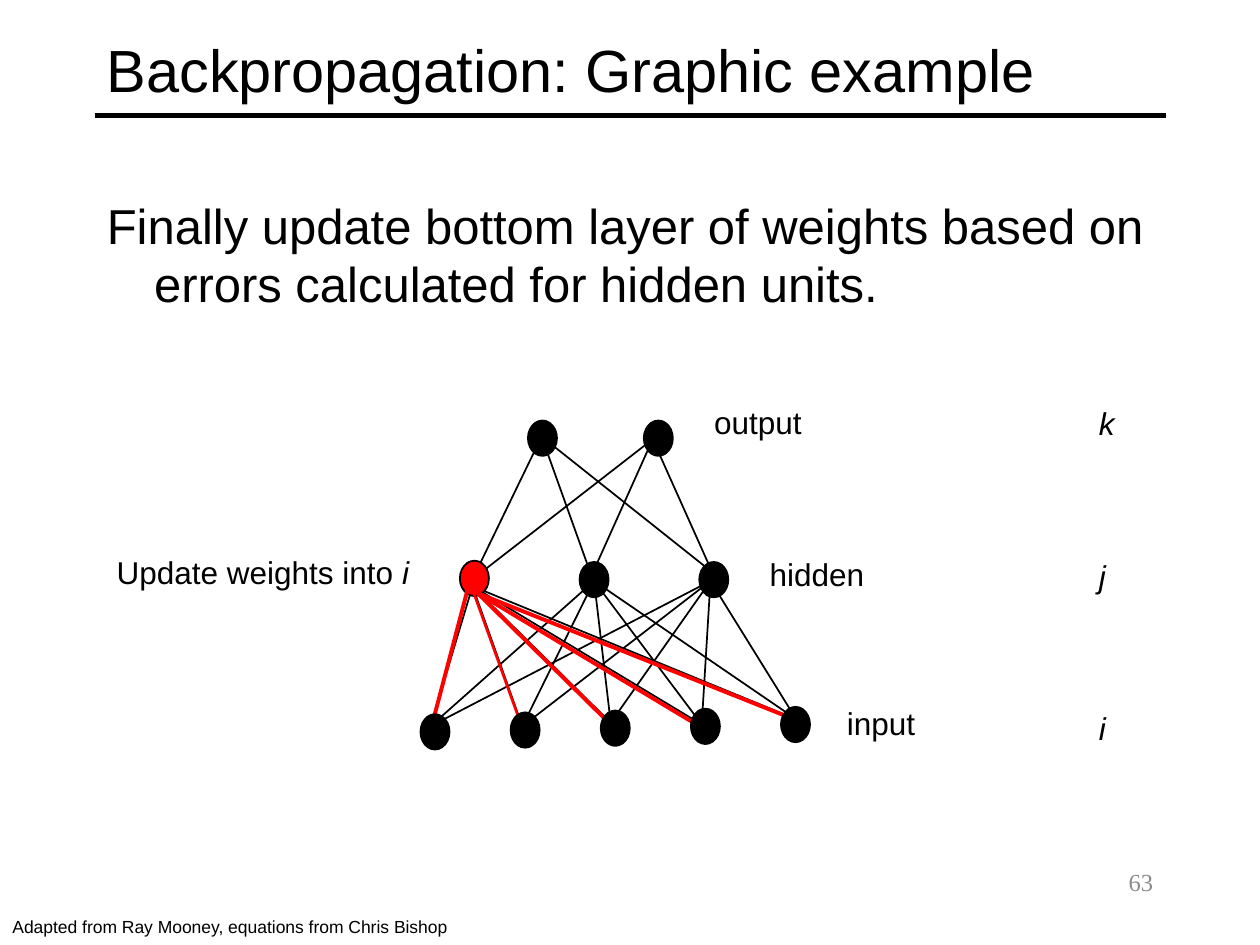
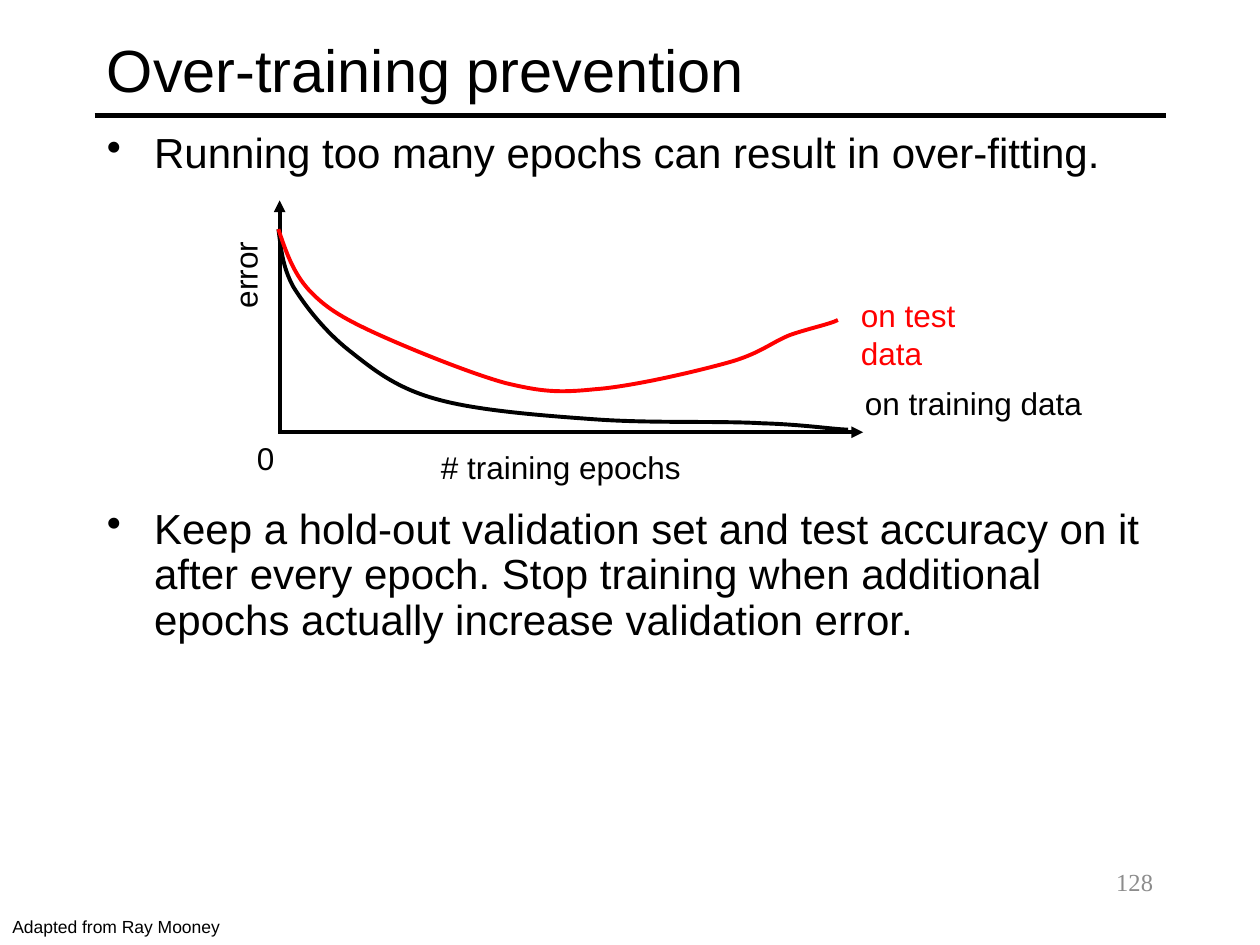
from itertools import product

from lxml import etree
from pptx import Presentation
from pptx.dml.color import RGBColor
from pptx.enum.shapes import MSO_CONNECTOR, MSO_SHAPE
from pptx.enum.text import MSO_ANCHOR, MSO_AUTO_SIZE, PP_ALIGN
from pptx.oxml.ns import qn
from pptx.util import Pt

BLACK = RGBColor(0x00, 0x00, 0x00)
RED = RGBColor(0xFF, 0x00, 0x00)
GRAY = RGBColor(0x8C, 0x8C, 0x8C)
SANS, SERIF = "Arial", "Times New Roman"
STRAIGHT = MSO_CONNECTOR.STRAIGHT
OVAL = MSO_SHAPE.OVAL
TOP, MIDDLE = MSO_ANCHOR.TOP, MSO_ANCHOR.MIDDLE
LEFT, RIGHT = PP_ALIGN.LEFT, PP_ALIGN.RIGHT
FIT_TEXT = MSO_AUTO_SIZE.SHAPE_TO_FIT_TEXT

MARGIN, CONTENT_WIDTH = 54, 612
HANGING = 27
NODE_WIDTH, NODE_HEIGHT = 16.6, 20.2

# Bézier chains: a start point, then three points per segment
TRAINING_CURVE = [
    (159.1, 131), (160.6, 141.8), (161.3, 152.6), (167.8, 164.2),
    (175, 175.7), (185.8, 189.4), (199.4, 200.2),
    (213.1, 211), (226.1, 221.8), (249.8, 228.2),
    (272.9, 234.7), (311, 237.6), (342, 239.8),
    (373, 241.9), (411.8, 240.5), (435.6, 241.9),
    (459.4, 242.6), (477.4, 245.5), (484.6, 245.5)]
TEST_CURVE = [
    (159.1, 131), (163.4, 144), (167.8, 156.2), (176.4, 165.6),
    (185.8, 175.7), (195.1, 181.4), (213.8, 190.1),
    (232.6, 198.7), (267.8, 213.1), (288.7, 218.9),
    (309.6, 223.9), (319, 224.6), (339.8, 222.5),
    (360.7, 221), (397.4, 212.4), (415.4, 207.4),
    (434.2, 202.3), (440.6, 195.8), (451.4, 191.5),
    (461.5, 187.9), (475.2, 185), (478.8, 182.9)]


class Deck:
    def __init__(self):
        self.prs = Presentation()
        self.prs.slide_width, self.prs.slide_height = Pt(720), Pt(540)
        self.slide = None

    def new_slide(self, title, credit, credit_width, number):
        """Start a slide with the shared title, rule and footers."""
        self.slide = self.prs.slides.add_slide(self.prs.slide_layouts[6])
        self.line((MARGIN, 66), (MARGIN + CONTENT_WIDTH, 66), 3)
        self.text(title, MARGIN, 6, CONTENT_WIDTH, 66, size=34, anchor=MIDDLE, wrap=True)
        self.text(credit, 0, 520, credit_width, 19.4, size=10)
        self.text(number, 516, 492, 150, 36, size=14, color=GRAY, font=SERIF,
                  align=RIGHT, wrap=True)

    def style_runs(self, paragraph, size, color=BLACK, font=SANS):
        for run in paragraph.runs:
            run.font.size, run.font.name = Pt(size), font
            run.font.color.rgb = color

    def text(self, text, x, y, width, height, size=18, color=BLACK, font=SANS,
             align=LEFT, anchor=TOP, wrap=False, italic_end=""):
        box = self.slide.shapes.add_textbox(Pt(x), Pt(y), Pt(width), Pt(height))
        frame = box.text_frame
        frame.text = text
        frame.word_wrap, frame.vertical_anchor = wrap, anchor
        if not wrap:
            frame.auto_size = FIT_TEXT
        paragraph = frame.paragraphs[0]
        paragraph.alignment = align
        if italic_end:
            ending = paragraph.add_run()
            ending.text, ending.font.italic = italic_end, True
        self.style_runs(paragraph, size, color, font)

        return box

    def index_letters(self, letters, x, y, width, height, gap):
        """A column of italic letters, with gap points between them."""
        column = self.text("\n".join(letters), x, y, width, height, wrap=True)
        for row, paragraph in enumerate(column.text_frame.paragraphs):
            if row:
                paragraph.space_before = Pt(gap)
            self.style_runs(paragraph, 18)
            paragraph.runs[0].font.italic = True

    def body(self, items, y, height, size, line_spacing, gap=0, bullet=None):
        """Hanging paragraphs, with gap points between them."""
        box = self.text("\n".join(items), MARGIN, y, CONTENT_WIDTH, height, wrap=True)
        for index, paragraph in enumerate(box.text_frame.paragraphs):
            properties = paragraph._p.get_or_add_pPr()
            properties.set("marL", str(Pt(HANGING)))
            properties.set("indent", str(-Pt(HANGING)))
            if bullet:
                etree.SubElement(properties, qn("a:buChar")).set("char", bullet)
            paragraph.line_spacing = line_spacing
            if index:
                paragraph.space_before = Pt(gap)
            self.style_runs(paragraph, size)

    def line(self, start, end, weight=1, color=BLACK, arrow=False):
        connector = self.slide.shapes.add_connector(STRAIGHT, *map(Pt, start + end))
        connector.line.width = Pt(weight)
        connector.line.color.rgb = color
        if arrow:
            etree.SubElement(connector.line._get_or_add_ln(), qn("a:tailEnd")).set(
                "type", "triangle")
        etree.SubElement(connector._element.spPr, qn("a:effectLst"))

    def node(self, x, y, color=BLACK):
        """A network unit centred on x, y."""
        unit = self.slide.shapes.add_shape(
            OVAL, Pt(x - NODE_WIDTH / 2), Pt(y - NODE_HEIGHT / 2),
            Pt(NODE_WIDTH), Pt(NODE_HEIGHT))
        unit.shadow.inherit = False
        unit.fill.solid()
        unit.fill.fore_color.rgb = color
        unit.line.color.rgb, unit.line.width = BLACK, Pt(1)

    def curve(self, chain, color):
        points = [(Pt(x), Pt(y)) for x, y in chain]
        builder = self.slide.shapes.build_freeform(*points[0])
        builder.add_line_segments(points[1:], close=False)
        outline = builder.convert_to_shape()
        # Join every three straight segments into one Bézier segment
        segments = list(outline._element.iter(qn("a:lnTo")))
        for first in range(0, len(segments), 3):
            bezier = etree.Element(qn("a:cubicBezTo"))
            segments[first].addprevious(bezier)
            for segment in segments[first:first + 3]:
                bezier.append(segment[0])
                segment.getparent().remove(segment)
        outline.shadow.inherit = False
        outline.fill.background()
        outline.line.color.rgb, outline.line.width = color, Pt(2.25)


def backpropagation_slide(deck):
    deck.new_slide("Backpropagation: Graphic example",
                   "Adapted from Ray Mooney, equations from Chris Bishop", 265.7, "63")
    deck.body(["Finally update bottom layer of weights based on errors "
               "calculated for hidden units."], 108, 88, 28, 1.0)

    # Black links: where they leave or reach each layer
    output_ends = [(309.5, 249.5), (373, 251)]
    hidden_tops = [(270, 331), (338, 329), (407, 327)]
    hidden_bottoms = [(270, 335), (339.5, 332), (406, 332)]
    input_ends = [(246, 415), (298.5, 415), (349, 413), (401, 414), (455, 411)]
    for start, end in [*product(output_ends, hidden_tops),
                       *product(hidden_bottoms, input_ends)]:
        deck.line(start, end)

    # Output and hidden units
    for column in range(2):
        deck.node(310 + 66.2 * column, 250.4)
    for column in range(3):
        deck.node(271.1 + 68.4 * column, 330.5 if column == 0 else 331.2,
                  RED if column == 0 else BLACK)

    # Updated weights into the red unit
    fan = (273, 339)
    for start, end, weight in [((268.5, 332), (246, 417.5), 2.25),
                               ((269.5, 335.5), (299, 417.5), 1.5),
                               (fan, (350.5, 415.5), 2.25),
                               (fan, (405.5, 418.5), 2.25),
                               (fan, (460, 413.5), 2.25)]:
        deck.line(start, end, weight, RED)

    # Input units, rising slightly to the right
    for column in range(5):
        deck.node(248.6 + 51.5 * column, 418.2 - 1.05 * column)

    # Layer names and their index letters
    for layer, x, y, width in [("output", 401, 226.8, 65.5),
                               ("hidden", 432.7, 313.9, 68.4),
                               ("input", 476.9, 398.9, 55.4)]:
        deck.text(layer, x, y, width, 31)
    deck.index_letters("kji", 620.8, 227.5, 24, 203.8, gap=65.6)
    deck.text("Update weights into ", 59.6, 312.5, 182.9, 29.5, italic_end="i")


def overtraining_slide(deck):
    deck.new_slide("Over-training prevention", "Adapted from Ray Mooney", 136.8, "128")
    deck.body(["Running too many epochs can result in over-fitting.",
               "Keep a hold-out validation set and test accuracy on it after every "
               "epoch. Stop training when additional epochs actually increase "
               "validation error."], 72, 436, 24, 0.9, gap=189, bullet="•")

    # Axes
    deck.line((159.8, 247), (159.8, 114.5), 2.25, arrow=True)
    deck.line((159.1, 247), (493.2, 247), 2.25, arrow=True)
    deck.text("0", 139.7, 247.3, 24.5, 31)
    deck.text("# training epochs", 244.8, 252.4, 151.9, 31)
    deck.text("error", 114.5, 141.1, 53.3, 31).rotation = 270

    # Error curves
    deck.curve(TRAINING_CURVE, BLACK)
    deck.curve(TEST_CURVE, RED)
    deck.text("on training data", 487.2, 216, 139.7, 31)
    deck.text("on test data", 484.8, 165.8, 105, 31, color=RED, wrap=True)


def main():
    deck = Deck()
    backpropagation_slide(deck)
    overtraining_slide(deck)
    deck.prs.save("out.pptx")


if __name__ == "__main__":
    main()
